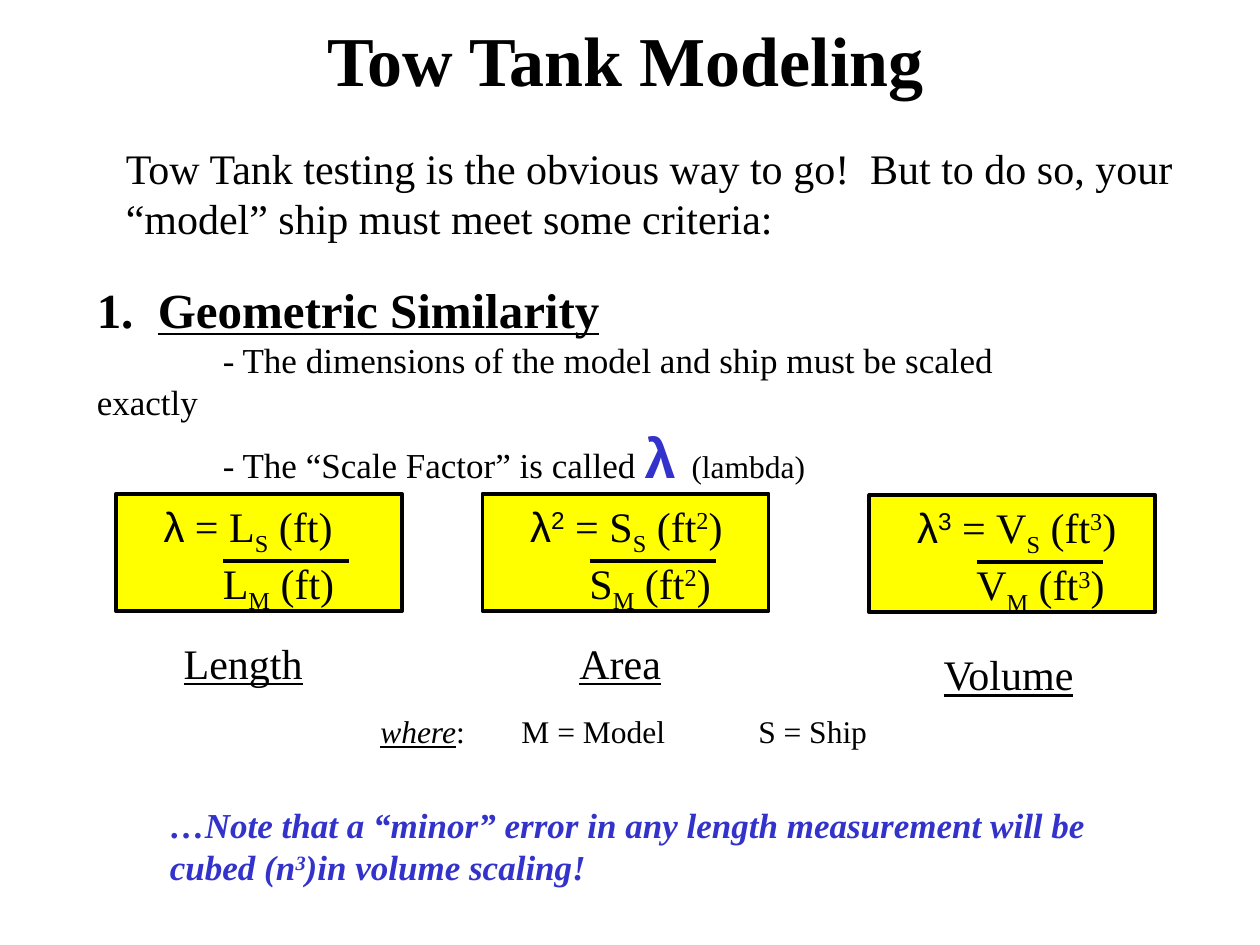
from lxml import etree
from pptx import Presentation
from pptx.dml.color import RGBColor
from pptx.enum.shapes import MSO_CONNECTOR, MSO_SHAPE
from pptx.enum.text import MSO_ANCHOR, PP_ALIGN
from pptx.oxml.ns import qn
from pptx.util import Inches, Pt

RECTANGLE = MSO_SHAPE.RECTANGLE
STRAIGHT = MSO_CONNECTOR.STRAIGHT
TOP = MSO_ANCHOR.TOP
LEFT = PP_ALIGN.LEFT
BLACK, BLUE, YELLOW = "000000", "3333CC", "FFFF00"
SERIF, SANS = "Times New Roman", "Arial"
SUBSCRIPT, SUPERSCRIPT = {"baseline": -25}, {"baseline": 30}


def color(hex_string):
    return RGBColor.from_string(hex_string)


def add_run(paragraph, text, values):
    run = paragraph.add_run()
    run.text = text
    values = {"name": SERIF, "size": 24, "color": BLACK, **values}
    run.font.color.rgb = color(values.pop("color"))
    run.font.size = Pt(values.pop("size"))
    baseline = values.pop("baseline", 0)
    if baseline:
        run._r.get_or_add_rPr().set("baseline", str(baseline * 1000))
    for name, value in values.items():
        setattr(run.font, name, value)


def indent(paragraph, left=0, first=0):
    properties = paragraph._p.get_or_add_pPr()
    properties.set("marL", str(Inches(left)))
    properties.set("indent", str(Inches(first)))


def add_tabs(paragraph, positions):
    tabs = etree.SubElement(paragraph._p.get_or_add_pPr(), qn("a:tabLst"))
    for position in positions:
        etree.SubElement(tabs, qn("a:tab"), pos=str(Inches(position)), algn="l")


def write_paragraphs(frame, paragraphs, **base):
    for index, runs in enumerate(paragraphs):
        paragraph = frame.paragraphs[0] if index == 0 else frame.add_paragraph()
        for text, values in runs:
            add_run(paragraph, text, {**base, **values})
    return frame.paragraphs


def add_text(slide, left, top, width, height, paragraphs, **base):
    box = slide.shapes.add_textbox(
        Inches(left), Inches(top), Inches(width), Inches(height))
    box.text_frame.word_wrap = True
    return write_paragraphs(box.text_frame, paragraphs, **base)


def add_fraction_line(slide, left, top, width):
    line = slide.shapes.add_connector(
        STRAIGHT, Inches(left), Inches(top), Inches(left + width), Inches(top))
    line.line.color.rgb = color(BLACK)
    line.line.width = Pt(2.25)
    etree.SubElement(line._element.spPr, qn("a:effectLst"))


def add_scale_box(slide, left, top, symbol, power):
    box = slide.shapes.add_shape(
        RECTANGLE, Inches(left), Inches(top), Inches(2.27), Inches(0.93))
    box.shadow.inherit = False
    box.fill.solid()
    box.fill.fore_color.rgb = color(YELLOW)
    box.line.color.rgb = color(BLACK)
    box.line.width = Pt(2.25)
    frame = box.text_frame
    frame.vertical_anchor = TOP
    frame.word_wrap = True

    exponent = [(power, SUPERSCRIPT)] if power else []
    unit = [(" (ft", {}), *exponent, (")", {})]
    factor = [("λ", {"name": SANS})]
    factor += [(text, {**values, "name": SANS}) for text, values in exponent]
    paragraphs = write_paragraphs(frame, [
        [*factor, (f" = {symbol}", {}), ("S", SUBSCRIPT), *unit],
        [(symbol, {}), ("M", SUBSCRIPT), *unit],
    ])
    for paragraph, margin in zip(paragraphs, (0.28, 0.75)):
        paragraph.alignment = LEFT
        indent(paragraph, margin)
    add_fraction_line(slide, left + 0.85, top + 0.53, 1)


def add_criterion(slide):
    paragraphs = add_text(slide, 0.67, 2.17, 8, 1.43, [
        [("1.  ", {"size": 28, "bold": True}),
         ("Geometric Similarity", {"size": 28, "bold": True, "underline": True})],
        [("- The dimensions of the model and ship must be scaled exactly", {})],
        [("- The “Scale Factor” is called ", {}),
         ("λ ", {"size": 32, "name": SANS, "color": BLUE, "bold": True}),
         ("(lambda)", {"size": 18})],
    ], size=20)
    for paragraph in paragraphs[1:]:
        indent(paragraph, first=1)


def add_legend(slide):
    paragraphs = add_text(slide, 2.92, 5.6, 4.3, 0.4, [
        [("where", {"italic": True, "underline": True}),
         (":\tM = Model\tS = Ship", {})],
    ], size=18)
    add_tabs(paragraphs[0], (1.12, 3))


def main():
    presentation = Presentation()
    presentation.slide_width = Inches(10)
    presentation.slide_height = Inches(7.5)
    slide = presentation.slides.add_slide(presentation.slide_layouts[6])

    add_text(slide, 2.5, 0.08, 5.1, 0.77,
             [[("Tow Tank Modeling", {})]], size=40, bold=True)
    add_text(slide, 0.9, 1.08, 8.7, 0.9, [
        [("Tow Tank testing is the obvious way to go!  But to do so, your", {})],
        [("“model” ship must meet some criteria:", {})],
    ])
    add_criterion(slide)

    for left, top, symbol, power in (
            (0.92, 3.92, "L", ""), (3.83, 3.92, "S", "2"), (6.9, 3.93, "V", "3")):
        add_scale_box(slide, left, top, symbol, power)
    for left, top, width, label in (
            (1.36, 5.01, 1.25, "Length"), (4.5, 5.01, 0.95, "Area"),
            (7.39, 5.1, 1.35, "Volume")):
        add_text(slide, left, top, width, 0.5, [[(label, {})]], underline=True)

    add_legend(slide)
    add_text(slide, 1.25, 6.33, 7.6, 0.77, [
        [("…Note that a “minor” error in any length measurement will be", {})],
        [("cubed (n", {}), ("3", SUPERSCRIPT), (")in volume scaling!", {})],
    ], size=20, color=BLUE, bold=True, italic=True)
    presentation.save("out.pptx")


if __name__ == "__main__":
    main()
